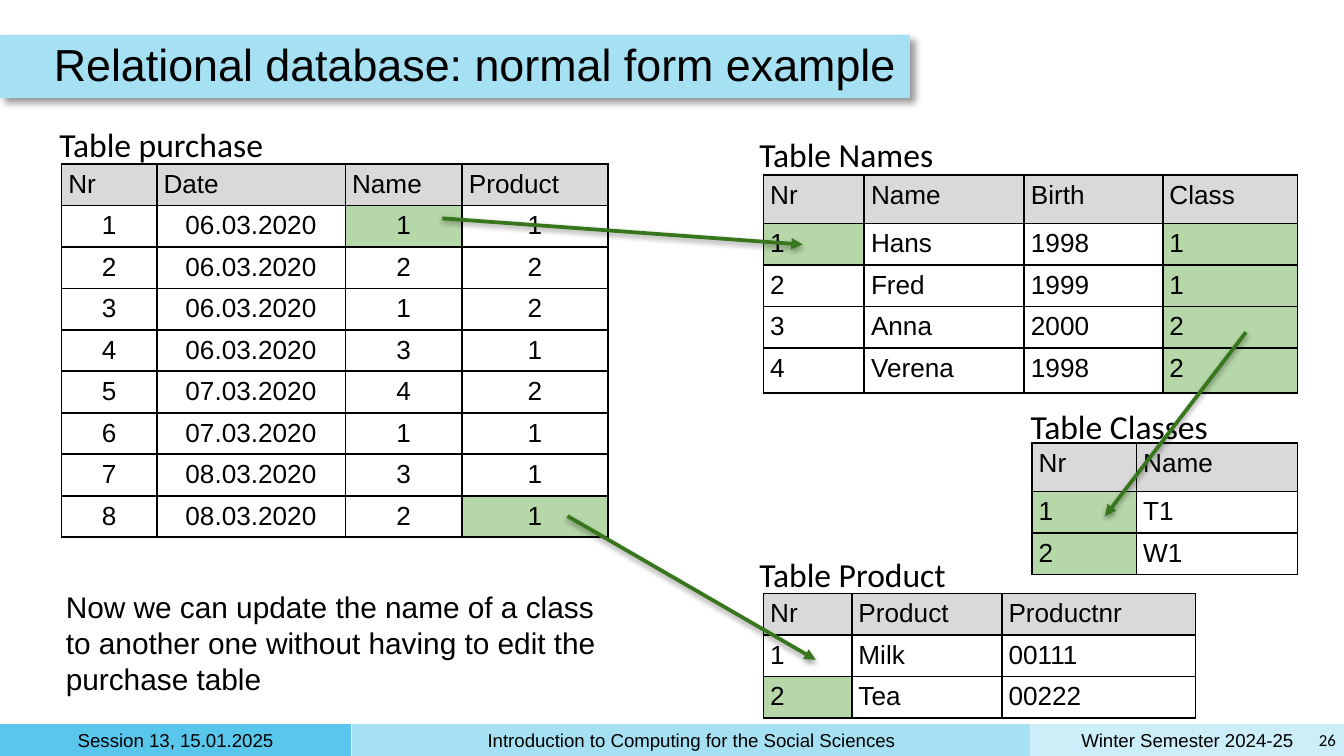
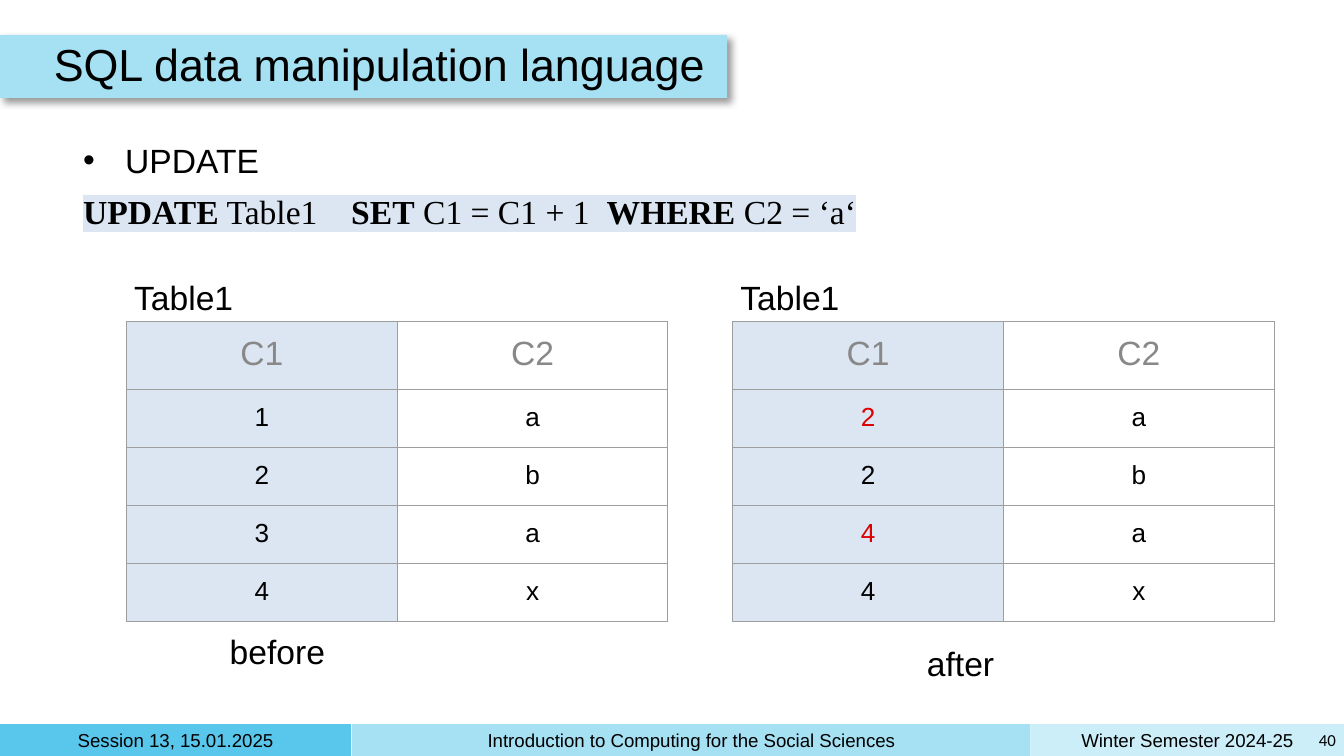
"""Builds two slides on normal forms and the SQL UPDATE statement."""
from dataclasses import dataclass

from lxml.etree import SubElement
from pptx import Presentation
from pptx.dml.color import RGBColor
from pptx.enum.shapes import MSO_CONNECTOR, MSO_SHAPE
from pptx.enum.text import MSO_ANCHOR, MSO_AUTO_SIZE, PP_ALIGN
from pptx.oxml.ns import qn
from pptx.util import Pt

LEFT, CENTER, RIGHT = PP_ALIGN.LEFT, PP_ALIGN.CENTER, PP_ALIGN.RIGHT
BLACK, RED, GREY = "000000", "DD0000", "D9D9D9"
GREEN, ARROW_GREEN, PALE_BLUE = "B6D7A8", "38761D", "DCE6F2"
DEEP_BAND, BAND, LIGHT_BAND = "59C7EB", "A5E0F3", "CCEEF9"
FOOTER = [
    (0, 188, DEEP_BAND, "Session 13, 15.01.2025"),
    (188.5, 363.5, BAND, "Introduction to Computing for the Social Sciences"),
    (552, 168, LIGHT_BAND, "Winter Semester 2024-25"),
]
ROW = 22.25


def color(hex_text):
    return RGBColor.from_string(hex_text)


def points(*lengths):
    return [Pt(length) for length in lengths]


@dataclass
class GridLook:
    border: str
    border_width: float
    inset: tuple
    header_size: int
    header_color: str


RELATION = GridLook(BLACK, 1, (3.6, 3), 14, BLACK)
RESULT = GridLook("9E9E9E", 0.75, (7.2, 7.2), 18, "888888")


class Slides:
    def __init__(self):
        self.deck = Presentation()
        self.deck.slide_width, self.deck.slide_height = points(720, 405)
        self.slide = None

    def start(self, layout, title, band_width, number):
        self.slide = self.deck.slides.add_slide(self.deck.slide_layouts[layout])
        for left, width, fill, text in FOOTER:
            box = self.band((left, 388, width, 17), fill)
            self.label(box, text, 10, align=CENTER, inset=0, anchor=MSO_ANCHOR.MIDDLE)
        self.text((702, 387.3, 17.3, 18), number, 9, "Calibri", RIGHT, 3.6, MSO_ANCHOR.MIDDLE)
        self.shadow(self.band((0, 18.7, band_width, 33.8), BAND), 40, 4, 3, 45)
        heading = self.slide.shapes.title
        self.place(heading, (25.2, 18.7, 619, 33.8))
        self.label(heading, title, 24, inset=3.6, anchor=MSO_ANCHOR.MIDDLE)
        heading.text_frame.paragraphs[0].line_spacing = 0.9
        heading.element.getparent().append(heading.element)

    def place(self, shape, frame):
        shape.left, shape.top, shape.width, shape.height = points(*frame)

    def band(self, frame, fill):
        shape = self.slide.shapes.add_shape(MSO_SHAPE.RECTANGLE, *points(*frame))
        shape.fill.solid()
        shape.fill.fore_color.rgb = color(fill)
        shape.line.fill.background()
        shape.shadow.inherit = False
        return shape

    def shadow(self, shape, opacity, blur, distance, angle):
        properties = shape.element.spPr
        effects = properties.find(qn("a:effectLst"))
        if effects is None:
            effects = SubElement(properties, qn("a:effectLst"))
        outer = SubElement(effects, qn("a:outerShdw"), blurRad=str(Pt(blur)),
                           dist=str(Pt(distance)), dir=str(angle * 60000))
        tint = SubElement(outer, qn("a:srgbClr"), val=BLACK)
        SubElement(tint, qn("a:alpha"), val=str(opacity * 1000))

    def font(self, span, size, name="Arial", ink=BLACK, bold=False):
        span.font.size = Pt(size)
        span.font.name = name
        span.font.bold = bold
        span.font.color.rgb = color(ink)

    def prepare(self, shape, inset, anchor):
        frame = shape.text_frame
        frame.word_wrap = True
        frame.auto_size = MSO_AUTO_SIZE.NONE
        frame.vertical_anchor = anchor
        frame.margin_left = frame.margin_right = Pt(inset)
        frame.margin_top = frame.margin_bottom = Pt(inset)
        return frame

    def label(self, shape, text, size, name="Arial", align=LEFT, inset=7.2,
              anchor=MSO_ANCHOR.TOP):
        frame = self.prepare(shape, inset, anchor)
        frame.text = text
        para = frame.paragraphs[0]
        para.alignment = align
        self.font(para.runs[0], size, name)

    def text(self, frame, text, size=18, *style):
        box = self.slide.shapes.add_textbox(*points(*frame))
        self.label(box, text, size, *style)

    def caption(self, left, top, text):
        self.text((left, top, 130, 28.8), text, 18, "Calibri", LEFT, 3.6)

    def statement(self, frame, bullet, parts):
        body = self.slide.placeholders[1]
        self.place(body, frame)
        content = self.prepare(body, 3.6, MSO_ANCHOR.TOP)
        content.text = bullet
        para = content.paragraphs[0]
        para.space_before = Pt(0)
        self.indent(para, 22.5, "•")
        self.font(para.runs[0], 18)
        para = content.add_paragraph()
        para.space_before = Pt(6)
        self.indent(para, 0)
        for text, bold in parts:
            span = para.add_run()
            span.text = text
            self.font(span, 18, "Times New Roman", bold=bold)
            self.highlight(span, PALE_BLUE)

    def indent(self, para, width, bullet=None):
        properties = para._p.get_or_add_pPr()
        properties.set("marL", str(Pt(width)))
        properties.set("indent", str(Pt(-width)))
        if bullet:
            SubElement(properties, qn("a:buChar"), char=bullet)
        else:
            SubElement(properties, qn("a:buNone"))

    def highlight(self, span, fill):
        properties = span._r.get_or_add_rPr()
        mark = SubElement(properties, qn("a:highlight"))
        SubElement(mark, qn("a:srgbClr"), val=fill)
        properties.find(qn("a:solidFill")).addnext(mark)

    def grid(self, look, corner, widths, heights, rows, fills, align=LEFT, inks=None):
        size = (sum(widths), sum(heights))
        table = self.slide.shapes.add_table(
            len(rows), len(widths), *points(*corner, *size)).table
        table.first_row = table.horz_banding = False
        for column, width in zip(table.columns, widths):
            column.width = Pt(width)
        for row, height in zip(table.rows, heights):
            row.height = Pt(height)
        for r, values in enumerate(rows):
            for c, value in enumerate(values):
                cell = table.cell(r, c)
                cell.text = value
                cell.margin_left = cell.margin_right = Pt(look.inset[0])
                cell.margin_top = cell.margin_bottom = Pt(look.inset[1])
                para = cell.text_frame.paragraphs[0]
                para.alignment = align if r or look is RESULT else LEFT
                if r:
                    self.font(para.runs[0], 14, ink=(inks or {}).get((r, c), BLACK))
                else:
                    self.font(para.runs[0], look.header_size, ink=look.header_color)
                if (r, c) in fills:
                    cell.fill.solid()
                    cell.fill.fore_color.rgb = color(fills[r, c])
                else:
                    cell.fill.background()
                self.borders(cell, look)

    def borders(self, cell, look):
        properties = cell._tc.get_or_add_tcPr()
        for position, side in enumerate(("lnL", "lnR", "lnT", "lnB")):
            line = SubElement(properties, qn("a:" + side), w=str(Pt(look.border_width)))
            fill = SubElement(line, qn("a:solidFill"))
            SubElement(fill, qn("a:srgbClr"), val=look.border)
            properties.insert(position, line)

    def relation(self, corner, widths, heights, rows, keys, align=LEFT):
        fills = {(0, c): GREY for c in range(len(widths))}
        fills.update({key: GREEN for key in keys})
        self.grid(RELATION, corner, widths, heights, rows, fills, align)

    def arrow(self, start, end):
        line = self.slide.shapes.add_connector(
            MSO_CONNECTOR.STRAIGHT, *points(*start, *end))
        line.line.color.rgb = color(ARROW_GREEN)
        line.line.width = Pt(2)
        SubElement(line.element.spPr.find(qn("a:ln")), qn("a:tailEnd"), type="triangle")
        self.shadow(line, 38, 3, 1.6, 90)


def normal_form(slides):
    slides.start(5, "Relational database: normal form example", 487.5, "26")
    names = [("Nr", "Name", "Birth", "Class"), ("1", "Hans", "1998", "1"),
             ("2", "Fred", "1999", "1"), ("3", "Anna", "2000", "2"),
             ("4", "Verena", "1998", "2")]
    slides.relation((409, 93.8), (54, 85.7, 74.2, 72.2), (26, ROW, ROW, ROW, 24), names,
                    [(1, 0)] + [(r, 3) for r in range(1, 5)])
    products = [("Nr", "Product", "Productnr"), ("1", "Milk", "00111"),
                ("2", "Tea", "00222")]
    slides.relation((409, 318), (47.3, 80.4, 103.7), [ROW] * 3, products, [(2, 0)])
    purchases = [("Nr", "Date", "Name", "Product"),
                 ("1", "06.03.2020", "1", "1"), ("2", "06.03.2020", "2", "2"),
                 ("3", "06.03.2020", "1", "2"), ("4", "06.03.2020", "3", "1"),
                 ("5", "07.03.2020", "4", "2"), ("6", "07.03.2020", "1", "1"),
                 ("7", "08.03.2020", "3", "1"), ("8", "08.03.2020", "2", "1")]
    slides.relation((33, 87.8), (51, 101, 62.6, 78), [ROW] * 9, purchases,
                    [(1, 2), (8, 3)], CENTER)
    classes = [("Nr", "Name"), ("1", "T1"), ("2", "W1")]
    slides.relation((552.8, 237.4), (56, 86.4), (26, ROW, ROW), classes, [(1, 0), (2, 0)])
    slides.caption(28.2, 62.8, "Table purchase")
    slides.caption(403.2, 293, "Table Product")
    slides.caption(403.2, 68.4, "Table Names")
    slides.caption(548.5, 214, "Table Classes")
    slides.arrow((304, 276.5), (437, 353.5))
    slides.arrow((237, 117), (430, 131))
    slides.arrow((667.5, 178), (592, 276.5))
    slides.text((28.2, 308.2, 310, 73), "Now we can update the name of a class to another "
                "one without having to edit the purchase table", 16)


def manipulation(slides):
    slides.start(1, "SQL data manipulation language", 389.5, "40")
    slides.statement((41, 71.3, 662, 108), "UPDATE",
                     [("UPDATE", True), (" Table1    ", False), ("SET", True),
                      (" C1 = C1 + 1  ", False), ("WHERE", True), (" C2 = ‘a‘", False)])
    letters = ("a", "b", "a", "x")
    fills = {(r, 0): PALE_BLUE for r in range(5)}
    results = [(67.8, "1234", {}, "before", (116, 331)),
               (392.6, "2244", {(1, 0): RED, (3, 0): RED}, "after", (489.5, 337))]
    for left, numbers, inks, label, corner in results:
        rows = [("C1", "C2"), *zip(numbers, letters)]
        slides.grid(RESULT, (left, 172.3), [145] * 2, [36.2] + [31.1] * 4, rows, fills,
                    CENTER, inks)
        slides.text((left - 3, 141.1, 300, 36), "Table1")
        slides.text((*corner, 84, 42), label)


def main():
    slides = Slides()
    normal_form(slides)
    manipulation(slides)
    slides.deck.save("out.pptx")


if __name__ == "__main__":
    main()
